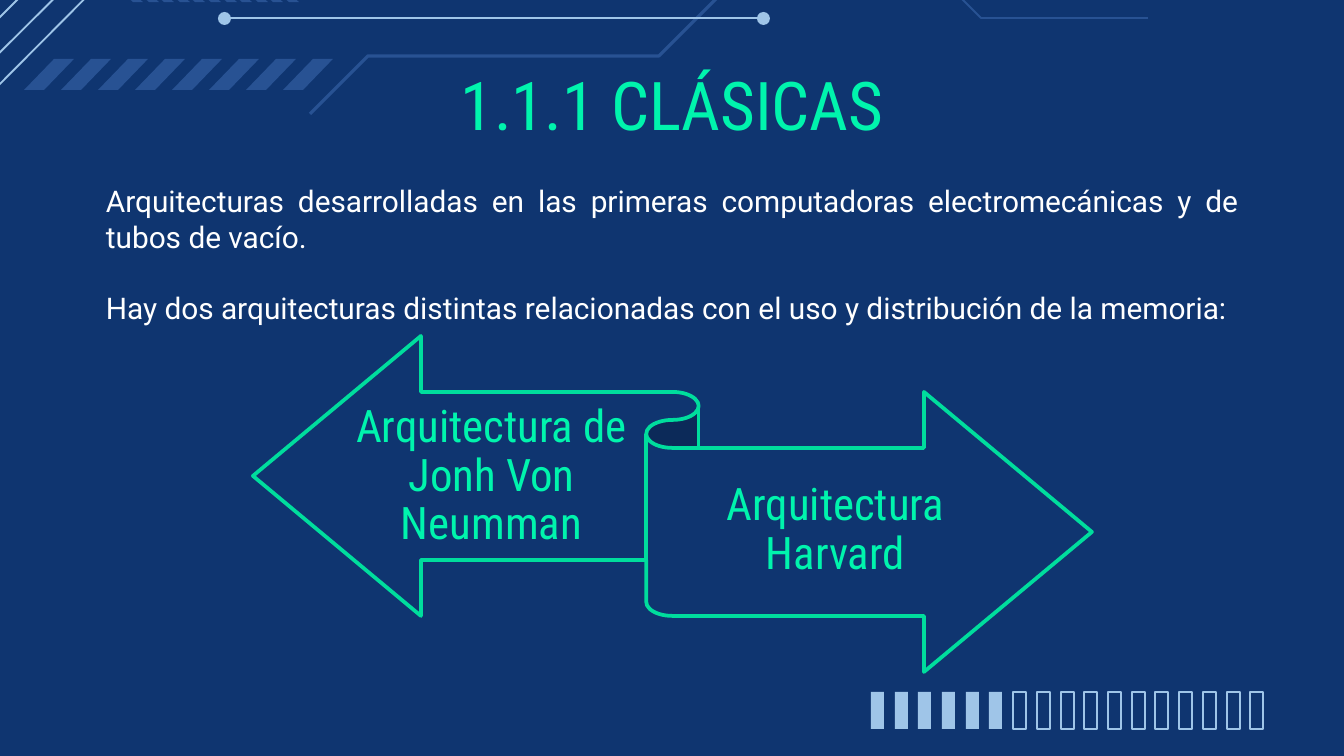
from lxml import etree
from pptx import Presentation
from pptx.dml.color import RGBColor
from pptx.enum.shapes import MSO_CONNECTOR, MSO_SHAPE
from pptx.enum.text import MSO_ANCHOR, MSO_AUTO_SIZE, PP_ALIGN
from pptx.oxml.ns import qn
from pptx.util import Pt

UNIT = 914400 / 134.4
RECT = MSO_SHAPE.RECTANGLE
OVAL = MSO_SHAPE.OVAL
RIBBON = MSO_SHAPE.LEFT_RIGHT_RIBBON
STRAIGHT = MSO_CONNECTOR.STRAIGHT
TOP, MIDDLE = MSO_ANCHOR.TOP, MSO_ANCHOR.MIDDLE
CENTER, JUSTIFY = PP_ALIGN.CENTER, PP_ALIGN.JUSTIFY
HEAD, BODY = "Roboto Condensed", "Roboto"

COLORS = {
    "back": "0F3570",
    "pale": "9FC5E8",
    "dim": "285293",
    "mint": "00F4AD",
    "edge": "00DD9D",
    "white": "FFFFFF",
}


def px(n):
    return round(n * UNIT)


def tint(name):
    return RGBColor.from_string(COLORS[name])


def paint(shape, fill=None, line=None, width=1):
    shape.shadow.inherit = False
    if fill:
        shape.fill.solid()
        shape.fill.fore_color.rgb = tint(fill)
    else:
        shape.fill.background()
    if line:
        shape.line.color.rgb = tint(line)
        shape.line.width = Pt(width)
    else:
        shape.line.fill.background()


def add_form(slide, kind, box, **style):
    shape = slide.shapes.add_shape(kind, *map(px, box))
    paint(shape, **style)


def add_path(slide, points, closed=False, **style):
    start, *rest = points
    form = slide.shapes.build_freeform(*start, scale=UNIT)
    form.add_line_segments(rest, close=closed)
    paint(form.convert_to_shape(), **style)


def add_line(slide, ends, color, width):
    line = slide.shapes.add_connector(STRAIGHT, *map(px, ends))
    line.line.color.rgb = tint(color)
    line.line.width = Pt(width)
    etree.SubElement(line._element.spPr, qn("a:effectLst"))


def set_text(shape, lines, font, size, color, align, anchor, pads=(0, 0), gap=0, lead=None):
    frame = shape.text_frame
    frame.word_wrap = True
    frame.auto_size = MSO_AUTO_SIZE.NONE
    frame.vertical_anchor = anchor
    frame.margin_left = frame.margin_right = 0
    frame.margin_top, frame.margin_bottom = map(px, pads)
    for i, line in enumerate(lines):
        para = frame.add_paragraph() if i else frame.paragraphs[0]
        para.alignment = align
        if lead:
            para.line_spacing = lead
        if i:
            para.space_before = Pt(gap)
        run = para.add_run()
        run.text = line
        run.font.name = font
        run.font.size = Pt(size)
        run.font.color.rgb = tint(color)


def add_text(slide, box, *args, **style):
    set_text(slide.shapes.add_textbox(*map(px, box)), *args, **style)


def add_title(slide):
    title = slide.shapes.title
    title.left, title.top, title.width, title.height = map(px, (106, 63, 1133, 71))
    set_text(title, ["1.1.1 CLÁSICAS"], HEAD, 36, "mint", CENTER, TOP)


def add_wires(slide):
    add_path(slide, [(-25, 109), (171, -88), (348, -88), (422, -14),
                     (604, -14), (711, -122), (812, -122)], line="pale")
    add_path(slide, [(310, 114), (368, 56), (659, 56), (735, -20), (868, -20)],
             line="dim", width=1.75)
    add_path(slide, [(1148, 18), (981, 18), (912, -51), (786, -51)], line="dim")
    add_line(slide, (224, 18, 763, 18), "pale", 1)
    for x in (757, 218):
        add_form(slide, OVAL, (x, 12, 13, 13), fill="pale")
    for ends in ((-58, 110, 141, -88), (-82, 99, 117, -100)):
        add_line(slide, ends, "pale", 1)


def add_marks(slide):
    for i in range(8):
        x = 24 + 37 * i
        add_path(slide, [(x + 20, 90), (x + 50, 59), (x + 30, 59), (x, 90)],
                 closed=True, fill="dim")
    for i in range(11):
        x = 117 + round(15.6 * i)
        add_path(slide, [(x + 26, 2), (x + 10, -12), (x + 24, -26), (x + 14, -26),
                         (x, -12), (x + 16, 2)], closed=True, fill="dim")


def add_bars(slide):
    for i in range(17):
        style = {"fill": "pale"} if i < 6 else {"line": "pale", "width": 0.75}
        add_form(slide, RECT, (871 + round(23.7 * i), 692, 13, 37), **style)


def main():
    deck = Presentation()
    deck.slide_width, deck.slide_height = px(1344), px(756)
    slide = deck.slides.add_slide(deck.slide_layouts[5])
    slide.background.fill.solid()
    slide.background.fill.fore_color.rgb = tint("back")
    add_wires(slide)
    add_marks(slide)
    add_bars(slide)
    add_title(slide)
    add_text(slide, (106, 183, 1133, 489), [
        "Arquitecturas desarrolladas en las primeras computadoras electromecánicas y de tubos de vacío.",
        "Hay dos arquitecturas distintas relacionadas con el uso y distribución de la memoria:",
    ], BODY, 16, "white", JUSTIFY, TOP, gap=19)
    add_form(slide, RIBBON, (253, 336, 839, 336), fill="back", line="edge", width=2)
    for box, label in (((353, 395, 277, 164), "Arquitectura de Jonh Von Neumman"),
                       ((672, 449, 327, 164), "Arquitectura Harvard")):
        add_text(slide, box, [label], HEAD, 24, "mint", CENTER, MIDDLE,
                 pads=(12, 13), lead=0.9)
    deck.save("out.pptx")


if __name__ == "__main__":
    main()
